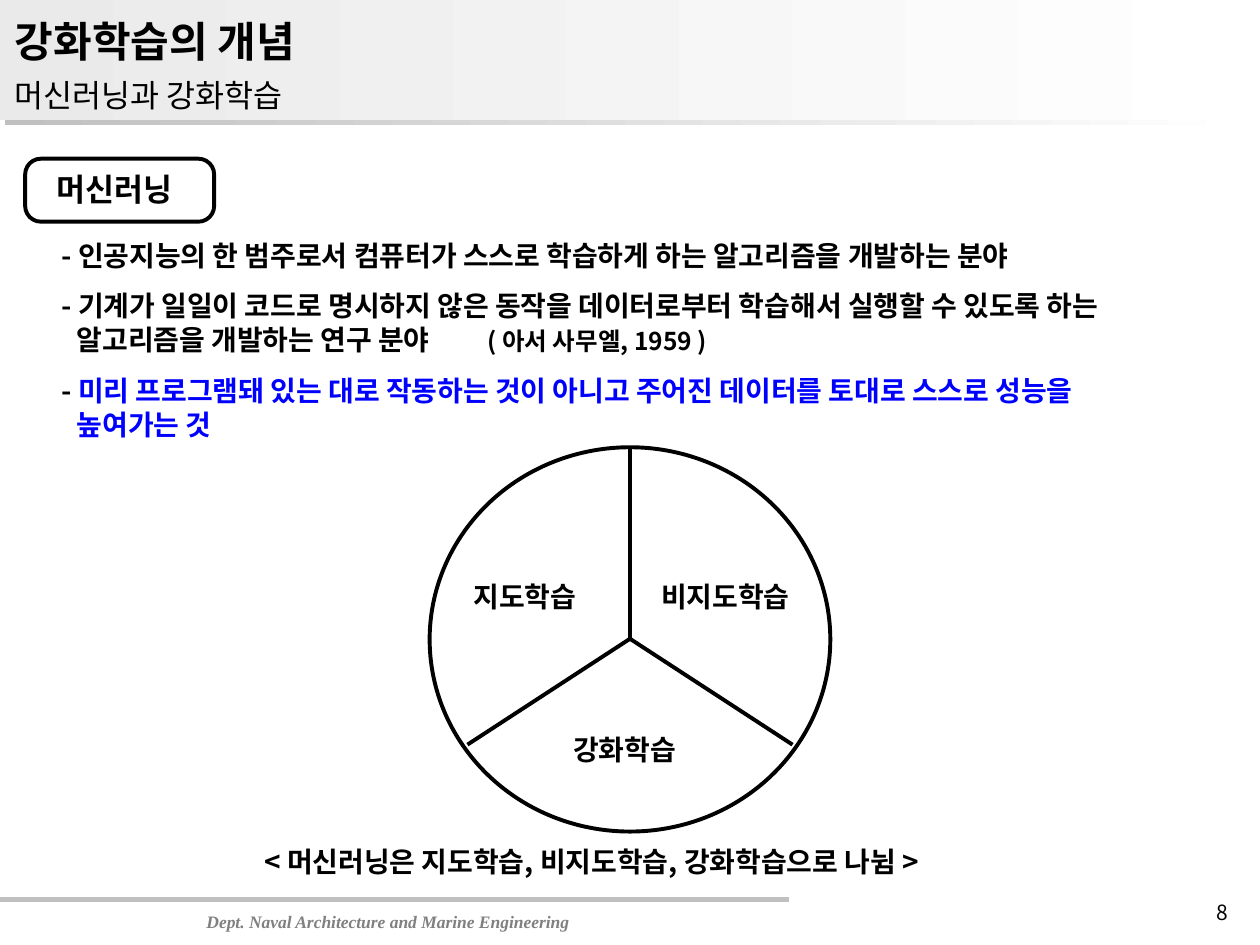
from dataclasses import dataclass

from lxml import etree
from pptx import Presentation
from pptx.dml.color import RGBColor
from pptx.enum import shapes as kinds, text as txt
from pptx.oxml import ns
from pptx.util import Inches, Pt

KOREAN = "Noto Sans CJK KR"
BLACK, BLUE, WHITE, SILVER = "000000", "0000FF", "FFFFFF", "C0C0C0"
LINE_HEIGHT = 1.21
HANG = 0.12


@dataclass
class Line:
    """One paragraph: a lead in black, then the body in its own colour."""
    body: str
    lead: str = ""
    color: str = BLACK
    indent: float = 0


@dataclass
class Label:
    box: tuple[float, float, float, float]
    lines: list[Line]
    size: float = 16
    bold: bool = True
    italic: bool = False
    font: str = KOREAN
    wrap: bool = True
    middle: bool = True
    centered: bool = False


def rgb(hex_color: str) -> RGBColor:
    return RGBColor.from_string(hex_color)


def inches(values: tuple[float, ...]) -> list[Inches]:
    return [Inches(value) for value in values]


def add_run(paragraph, content: str, color: str) -> None:
    run = paragraph.add_run()
    run.text = content
    run.font.color.rgb = rgb(color)
    properties = run.font._element
    etree.SubElement(properties, ns.qn("a:ea")).set("typeface", KOREAN)


def add_label(slide, label: Label) -> None:
    frame = slide.shapes.add_textbox(*inches(label.box)).text_frame
    frame.word_wrap = label.wrap
    frame.vertical_anchor = (
        txt.MSO_ANCHOR.MIDDLE if label.middle else txt.MSO_ANCHOR.TOP)
    for index, line in enumerate(label.lines):
        paragraph = frame.add_paragraph() if index else frame.paragraphs[0]
        if line.indent:
            paragraph._p.get_or_add_pPr().set("marL", str(Inches(line.indent)))
        if label.centered:
            paragraph.alignment = txt.PP_ALIGN.CENTER
        paragraph.line_spacing = Pt(round(label.size * LINE_HEIGHT, 1))
        font = paragraph.font
        font.name, font.size = label.font, Pt(label.size)
        font.bold, font.italic = label.bold, label.italic
        if line.lead:
            add_run(paragraph, line.lead, BLACK)
        add_run(paragraph, line.body, line.color)


def add_band(slide, box: tuple[float, ...], start: str, end: str = WHITE):
    """Add a borderless bar that fades from left to right."""
    band = slide.shapes.add_shape(kinds.MSO_SHAPE.RECTANGLE, *inches(box))
    band.shadow.inherit = False
    band.line.fill.background()
    band.fill.gradient()
    band.fill.gradient_angle = 0
    for stop, color, position in zip(band.fill.gradient_stops, (start, end), (0, 1)):
        stop.color.rgb = rgb(color)
        stop.position = position


def add_outline(slide, kind, box: tuple[float, ...]):
    outline = slide.shapes.add_shape(kind, *inches(box))
    outline.shadow.inherit = False
    outline.fill.background()
    outline.line.color.rgb = rgb(BLACK)
    outline.line.width = Pt(2.25)
    return outline


def add_rule(slide, start: tuple[float, float], end: tuple[float, float],
             color: str = BLACK, width: float = 2.25) -> None:
    rule = slide.shapes.add_connector(
        kinds.MSO_CONNECTOR.STRAIGHT, *inches(start + end))
    rule.line.color.rgb = rgb(color)
    rule.line.width = Pt(width)
    etree.SubElement(rule._element.spPr, ns.qn("a:effectLst"))


HEADER = [
    Label((1.54, 7.18, 3.12, 0.27),
          [Line("Dept. Naval Architecture and Marine Engineering", color="808080")],
          size=10, italic=True, font="Times New Roman", wrap=False),
    Label((0.02, 0.07, 9, 0.51), [Line("강화학습의 개념")], size=24, font="Calibri"),
    Label((9.41, 6.98, 0.59, 0.52), [Line("8")], size=12, bold=False, centered=True),
    Label((0.02, 0.55, 9, 0.39), [Line("머신러닝과 강화학습")],
          size=18, bold=False, middle=False),
]

DEFINITIONS = [
    Label((0.35, 1.3, 1.27, 0.4), [Line("머신러닝")], size=18),
    Label((0.39, 1.84, 8.86, 0.37),
          [Line("- 인공지능의 한 범주로서 컴퓨터가 스스로 학습하게 하는 알고리즘을 개발하는 분야")]),
    Label((0.39, 2.24, 9.61, 0.64),
          [Line("- 기계가 일일이 코드로 명시하지 않은 동작을 데이터로부터 학습해서 실행할 수 있도록 하는"),
           Line("알고리즘을 개발하는 연구 분야", indent=HANG)]),
    Label((3.77, 2.53, 2.1, 0.34), [Line("( 아서 사무엘, 1959 )")], size=14),
    Label((0.39, 2.91, 9.61, 0.64),
          [Line("미리 프로그램돼 있는 대로 작동하는 것이 아니고 주어진 데이터를 토대로 스스로 성능을",
                lead="- ", color=BLUE),
           Line("높여가는 것", color=BLUE, indent=HANG)]),
]

BRANCHES = [
    Label((3.66, 4.55, 1.1, 0.37), [Line("지도학습")], wrap=False),
    Label((5.15, 4.55, 1.32, 0.37), [Line("비지도학습")], wrap=False),
    Label((4.45, 5.76, 1.1, 0.37), [Line("강화학습")], wrap=False),
    Label((2, 6.65, 6, 0.37),
          [Line("< 머신러닝은 지도학습, 비지도학습, 강화학습으로 나뉨 >")]),
]


def main() -> None:
    deck = Presentation()
    deck.slide_width, deck.slide_height = Inches(10), Inches(7.5)
    slide = deck.slides.add_slide(deck.slide_layouts[6])

    add_band(slide, (0, 0, 9.88, 0.95), "EAEAEA")
    add_band(slide, (0.04, 0.95, 9.84, 0.04), SILVER)
    add_rule(slide, (0, 7.14), (6.26, 7.14), SILVER, 3)
    for label in HEADER:
        add_label(slide, label)

    heading = add_outline(
        slide, kinds.MSO_SHAPE.ROUNDED_RECTANGLE, (0.2, 1.26, 1.5, 0.5))
    heading.adjustments[0] = 0.25
    for label in DEFINITIONS:
        add_label(slide, label)

    add_outline(slide, kinds.MSO_SHAPE.OVAL, (3.41, 3.55, 3.18, 3.05))
    center = (5, 5.07)
    for rim in ((5, 3.55), (3.71, 5.91), (6.29, 5.91)):
        add_rule(slide, center, rim)
    for label in BRANCHES:
        add_label(slide, label)

    deck.save("out.pptx")


if __name__ == "__main__":
    main()
